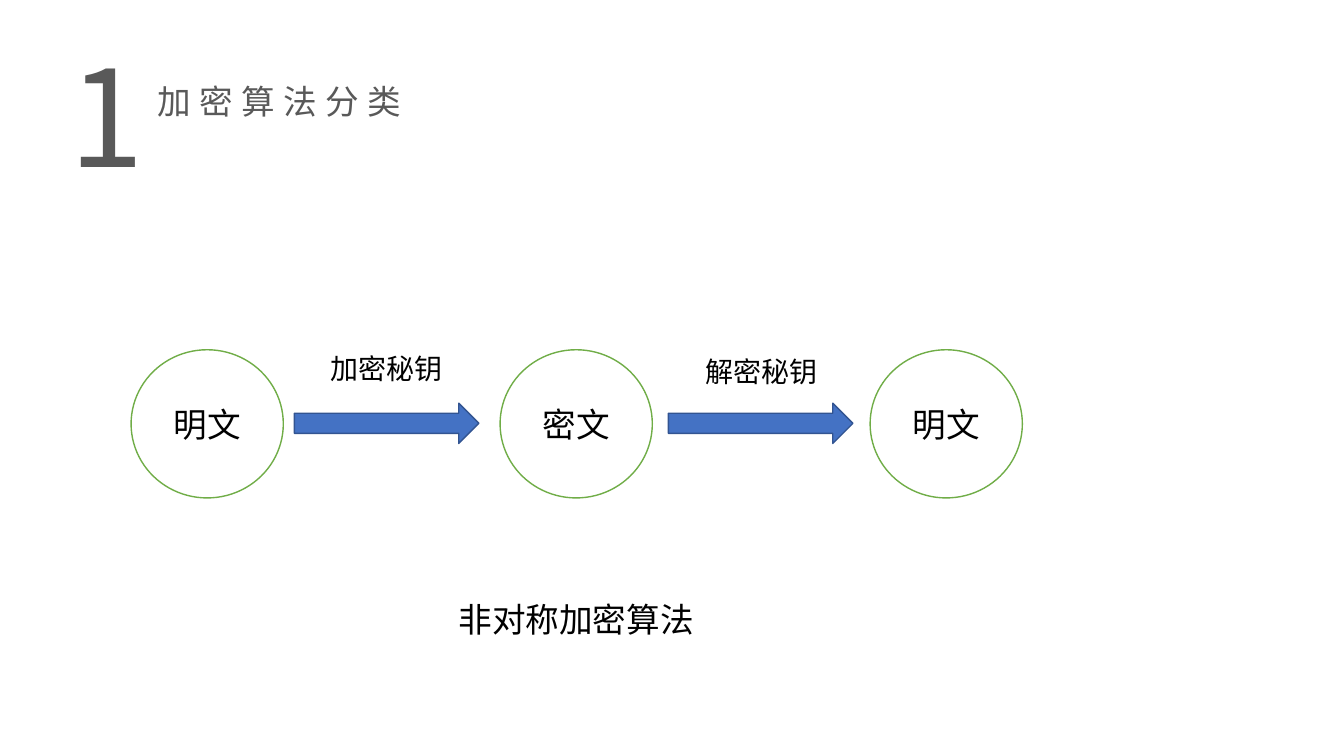
import pptx
import pptx.util
import pptx.dml.color
import pptx.enum.shapes
import pptx.enum.text
import pptx.oxml
import pptx.oxml.ns

PX = 9144
SHAPE = pptx.enum.shapes.MSO_SHAPE
ALIGN = pptx.enum.text.PP_ALIGN
THEME = {
    "font": "Noto Sans CJK SC", "number_font": "Noto Sans CJK JP",
    "number": 96, "body": 24, "label": 20,
    "text": "000000", "dark": "595959", "light": "A6A6A6",
    "circle": "FFFFFF", "circle_line": "70AD47",
    "arrow": "4472C4", "arrow_line": "325491",
}


def color(name):
    return pptx.dml.color.RGBColor.from_string(THEME[name])


def write(s, text, size="body", font="font", align=ALIGN.LEFT):
    p = s.text_frame.paragraphs[0]
    p.alignment = align
    r = p.add_run()
    r.text = text
    for name, value in {"size": pptx.util.Pt(THEME[size]), "name": THEME[font]}.items():
        setattr(r.font, name, value)
    r.font.color.rgb = color("text")
    ea = pptx.oxml.parse_xml(f'<a:ea {pptx.oxml.ns.nsdecls("a")} typeface="{THEME[font]}"/>')
    r.font._element.find(pptx.oxml.ns.qn("a:latin")).addnext(ea)
    return p, r


prs = pptx.Presentation()
prs.slide_width, prs.slide_height = 1333 * PX, 750 * PX
shapes = prs.slides.add_slide(prs.slide_layouts[6]).shapes

headings = [
    ("1", (59, -12, 71, 212), "number", "number_font", ALIGN.CENTER, 0),
    ("加密算法分类", (146, 65, 405, 60), "body", "font", ALIGN.LEFT, 600),
]
for text, box, size, font, align, spacing in headings:
    s = shapes.add_textbox(*(v * PX for v in box))
    s.text_frame.word_wrap = True
    s.text_frame.auto_size = pptx.enum.text.MSO_AUTO_SIZE.SHAPE_TO_FIT_TEXT
    p, r = write(s, text, size, font, align)
    p.line_spacing = 1.25
    r.font._element.set("spc", str(spacing))
    r.font.fill.gradient()
    r.font.fill.gradient_angle = 200
    for stop, name, position in zip(r.font.fill.gradient_stops, ("dark", "light"), (0.15, 0.7)):
        stop.color.rgb = color(name)
        stop.position = position

circles = [(SHAPE.OVAL, (x, 347, 151, 147), "circle", text)
           for x, text in ((130, "明文"), (496, "密文"), (863, "明文"))]
arrows = [(SHAPE.RIGHT_ARROW, (x, 400, 183, 40), "arrow", "") for x in (292, 663)]
for kind, box, look, text in circles + arrows:
    s = shapes.add_shape(kind, *(v * PX for v in box))
    s.shadow.inherit = False
    s.fill.solid()
    s.fill.fore_color.rgb = color(look)
    s.line.color.rgb = color(look + "_line")
    s.line.width = pptx.util.Pt(1)
    if text:
        s.text_frame.vertical_anchor = pptx.enum.text.MSO_ANCHOR.MIDDLE
        write(s, text, align=ALIGN.CENTER)

captions = [
    ("加密秘钥", (318, 344, 131, 44), "label"),
    ("解密秘钥", (690, 347, 131, 44), "label"),
    ("非对称加密算法", (445, 589, 253, 50), "body"),
]
for text, box, size in captions:
    s = shapes.add_textbox(*(v * PX for v in box))
    s.text_frame.word_wrap = False
    s.text_frame.auto_size = pptx.enum.text.MSO_AUTO_SIZE.SHAPE_TO_FIT_TEXT
    write(s, text, size)

prs.save("out.pptx")
